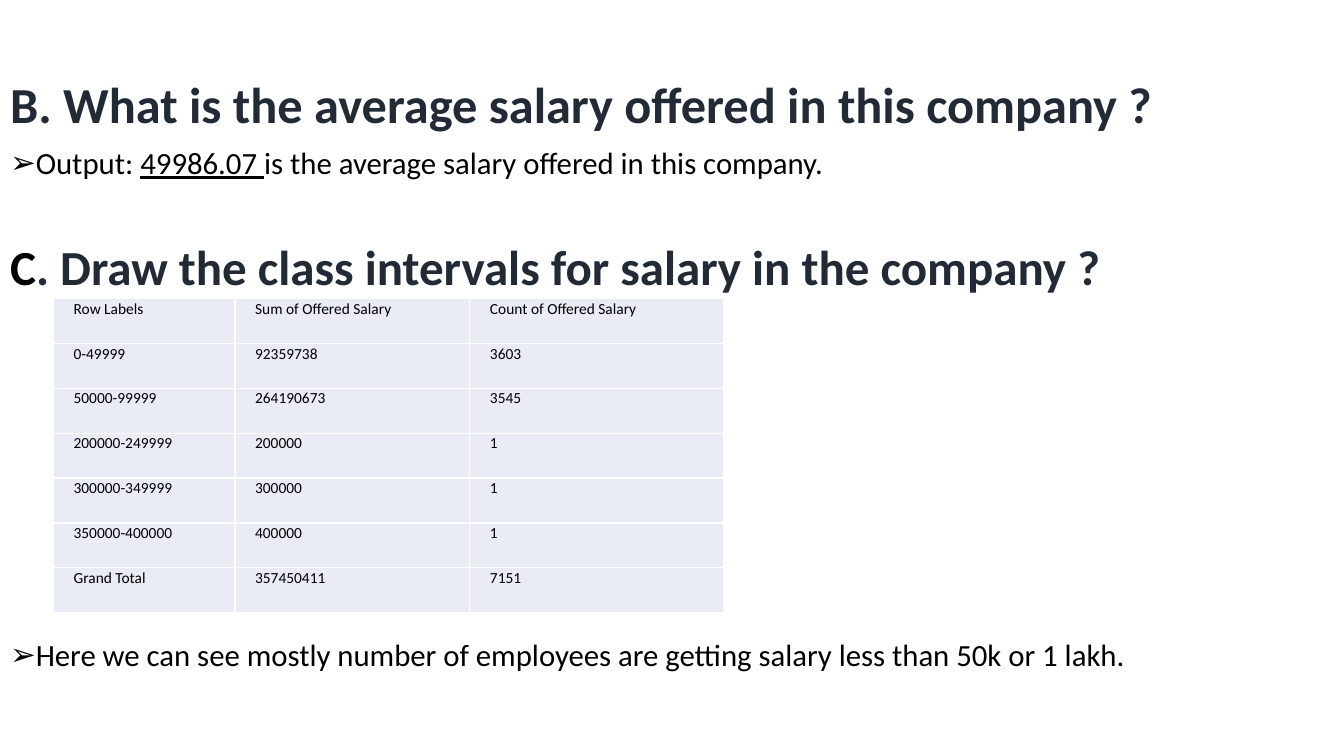
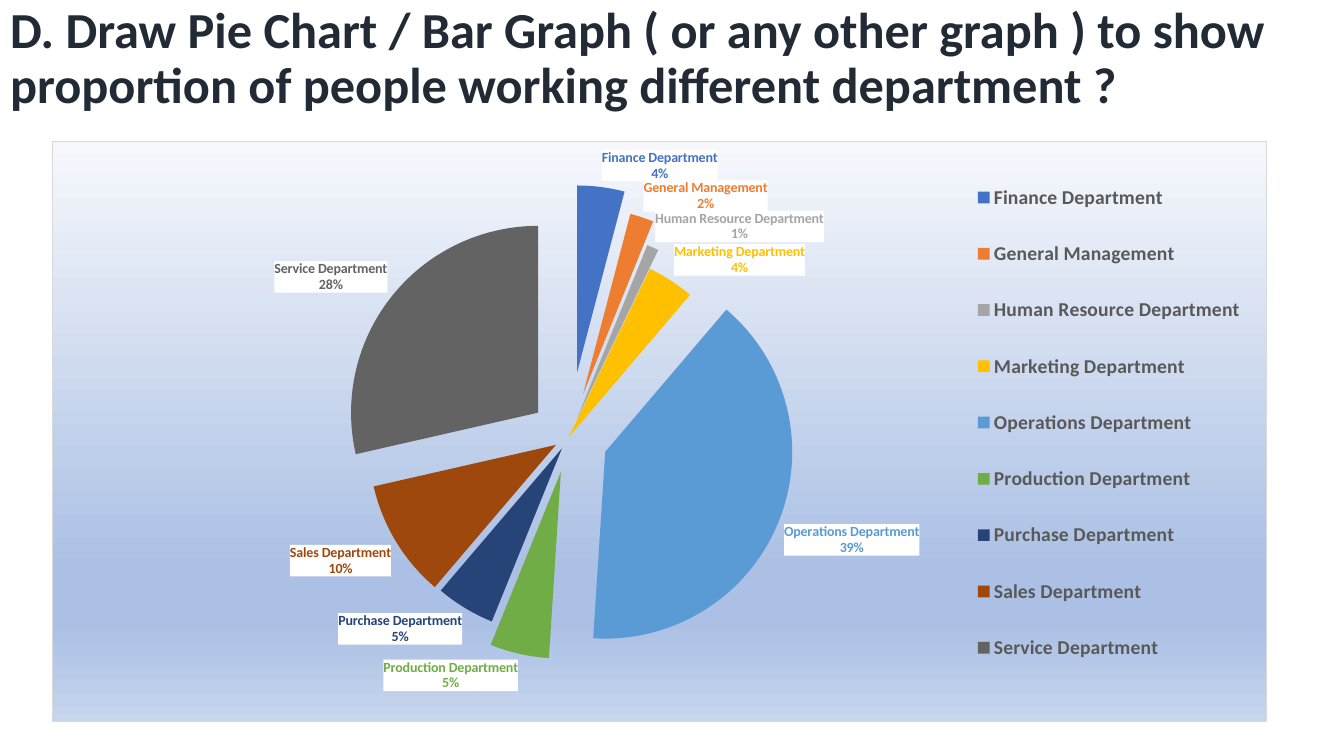
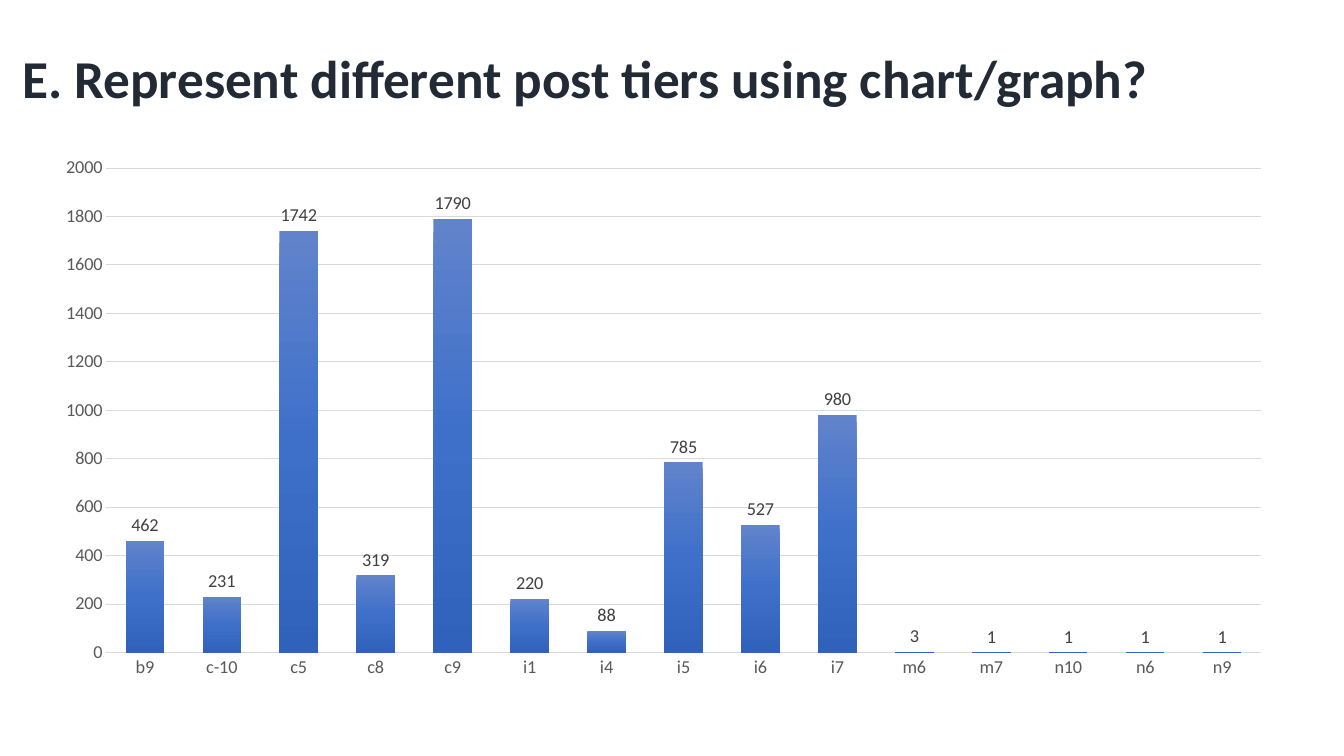
from lxml import etree
from pptx import Presentation
from pptx import util as u
from pptx.chart.data import CategoryChartData
from pptx.dml.color import RGBColor
from pptx.enum import chart as ch, text as t
from pptx.oxml import parse_xml
from pptx.oxml.ns import nsdecls, qn

NAVY = RGBColor(0x22, 0x2A, 0x35)
BLACK = RGBColor(0, 0, 0)
WHITE = RGBColor(0xFF, 0xFF, 0xFF)
CELL = RGBColor(0xE9, 0xEB, 0xF5)
GRID = RGBColor(0xD9, 0xD9, 0xD9)
GREY = RGBColor(0x59, 0x59, 0x59)
DARK = RGBColor(0x40, 0x40, 0x40)
FONT = "Calibri"
NS = nsdecls("a", "c")
PANEL_STOPS = [(0, "F6F8FC"), (74, "ABC0E4"), (83, "ABC0E4"), (100, "C7D5ED")]
BAR_STOPS = [(0, "6183CB"), (50, "3E70CA"), (100, "3062BB")]


def gradient(stops):
    """Vertical gradient fill as XML text."""
    marks = "".join(f'<a:gs pos="{at * 1000}"><a:srgbClr val="{color}"/></a:gs>'
                    for at, color in stops)
    return f'<a:gradFill {NS}><a:gsLst>{marks}</a:gsLst><a:lin ang="5400000" scaled="0"/></a:gradFill>'


def set_layout(parent, index, target, x, y, w, h):
    """Give a plot area or a legend a fixed place, in fractions of the chart."""
    for old in parent.findall(qn("c:layout")):
        parent.remove(old)
    inner = '<c:layoutTarget val="inner"/>' if target else ""
    parent.insert(index, parse_xml(
        f'<c:layout {NS}><c:manualLayout>{inner}<c:xMode val="edge"/><c:yMode val="edge"/>'
        f'<c:x val="{x}"/><c:y val="{y}"/><c:w val="{w}"/><c:h val="{h}"/>'
        f'</c:manualLayout></c:layout>'))


prs = Presentation()
prs.slide_width, prs.slide_height = u.Inches(13.33), u.Inches(7.5)

# Slides and their titles: text, size, box, left inset, anchor, layout
TOP, MIDDLE = t.MSO_ANCHOR.TOP, t.MSO_ANCHOR.MIDDLE
TITLES = [
    ("B. What is the average salary offered in this company ?",
     36, (0, 0.74, 12.42, 0.65), 0.1, TOP, 1),
    ("D. Draw Pie Chart / Bar Graph ( or any other graph ) to show proportion of people "
     "working different department ?", 36, (0, 0, 13.33, 1.25), 0.1, TOP, 5),
    ("E. Represent different post tiers using chart/graph?",
     38, (0, 0.08, 12.34, 1.45), 0.22, MIDDLE, 5),
]
for wording, size, box, inset, anchor, layout in TITLES:
    title = prs.slides.add_slide(prs.slide_layouts[layout]).shapes.title
    title.left, title.top, title.width, title.height = map(u.Inches, box)
    frame = title.text_frame
    frame.auto_size, frame.vertical_anchor = t.MSO_AUTO_SIZE.NONE, anchor
    frame.margin_left = u.Inches(inset)
    para = frame.paragraphs[0]
    para.alignment, para.line_spacing = t.PP_ALIGN.LEFT, 0.9
    run = para.add_run()
    run.text = wording
    run.font.name, run.font.size, run.font.bold = FONT, u.Pt(size), True
    run.font.color.rgb = NAVY
salary, departments, tiers = prs.slides

# Salary slide: answers and second question; runs are (text, bold, underline, colour)
ANSWERS = [
    (0, 22, True, [("Output: ", False, False, BLACK), ("49986.07 ", False, True, BLACK),
                   ("is the average salary offered in this company.", False, False, BLACK)]),
    (44, 35, False, [("C", True, False, BLACK),
                     (". Draw the class intervals for salary in the company ?", True, False, NAVY)]),
    (246, 22, True, [("Here we can see mostly number of employees are getting salary "
                      "less than 50k or 1 lakh.", False, False, BLACK)]),
]
body = salary.placeholders[1]
body.left, body.top, body.width, body.height = map(u.Inches, (0, 1.42, 12.42, 5.34))
frame = body.text_frame
frame.auto_size = t.MSO_AUTO_SIZE.NONE
for i, (before, size, bulleted, runs) in enumerate(ANSWERS):
    para = frame.add_paragraph() if i else frame.paragraphs[0]
    para.line_spacing, para.space_before = 0.9, u.Pt(before)
    props = para._p.get_or_add_pPr()
    hang = u.Inches(0.25) if bulleted else 0
    props.set("marL", str(hang))
    props.set("indent", str(-hang))
    bullet = etree.SubElement(props, qn("a:buChar" if bulleted else "a:buNone"))
    if bulleted:
        bullet.set("char", "➢")
    for wording, bold, underline, color in runs:
        run = para.add_run()
        run.text = wording
        run.font.name, run.font.size = FONT, u.Pt(size)
        run.font.bold, run.font.underline = bold, underline
        run.font.color.rgb = color

# Salary slide: class intervals
INTERVALS = [
    ("Row Labels", "Sum of Offered Salary", "Count of Offered Salary"),
    ("0-49999", "92359738", "3603"),
    ("50000-99999", "264190673", "3545"),
    ("200000-249999", "200000", "1"),
    ("300000-349999", "300000", "1"),
    ("350000-400000", "400000", "1"),
    ("Grand Total", "357450411", "7151"),
]
intervals = salary.shapes.add_table(len(INTERVALS), 3, *map(u.Inches, (0.53, 2.96, 6.65, 3.12))).table
intervals.first_row = intervals.horz_banding = False
for column, width in zip(intervals.columns, (1.8, 2.33, 2.52)):
    column.width = u.Inches(width)
for r, row in enumerate(INTERVALS):
    for c, wording in enumerate(row):
        cell = intervals.cell(r, c)
        cell.margin_left, cell.margin_top = u.Inches(0.2), u.Inches(0.01)
        cell.margin_right, cell.margin_bottom = u.Inches(0.01), 0
        run = cell.text_frame.paragraphs[0].add_run()
        run.text = wording
        run.font.name, run.font.size, run.font.color.rgb = FONT, u.Pt(11), BLACK
        cell.fill.solid()
        cell.fill.fore_color.rgb = CELL

# Departments slide: exploded pie of (name, percentage, colour, explosion)
DEPARTMENTS = [
    ("Finance Department", 4, "4472C4", 35),
    ("General Management", 2, "ED7D31", 24),
    ("Human Resource Department", 1, "A5A5A5", 11),
    ("Marketing Department", 4, "FFC000", 0),
    ("Operations Department", 39, "5B9BD5", 21),
    ("Production Department", 5, "70AD47", 19),
    ("Purchase Department", 5, "264478", 7),
    ("Sales Department", 10, "9E480E", 8),
    ("Service Department", 28, "636363", 21),
]
data = CategoryChartData()
data.categories = [name for name, *_ in DEPARTMENTS]
data.add_series("Series 1", [share for _, share, *_ in DEPARTMENTS])
pie = departments.shapes.add_chart(
    ch.XL_CHART_TYPE.PIE, *map(u.Inches, (0.52, 1.4, 12.05, 5.76)), data).chart
pie.has_title = False
pie.font.name, pie.font.size = FONT, u.Pt(10)
pie.plots[0].vary_by_categories = True
shares = pie.plots[0].series[0]
for i, (_, _, color, _) in enumerate(DEPARTMENTS):
    point = shares.points[i]
    point.format.fill.solid()
    point.format.fill.fore_color.rgb = RGBColor.from_string(color)
    font = point.data_label.font
    font.name, font.size, font.bold = FONT, u.Pt(10), True
    font.color.rgb = RGBColor.from_string(color)
    point.data_label.position = ch.XL_LABEL_POSITION.OUTSIDE_END

# Explosion, and white labels with name and percentage
pie_xml = pie._chartSpace
slices = pie_xml.xpath(".//c:dPt")
slices[0].addprevious(parse_xml(f'<c:explosion {NS} val="21"/>'))
for wedge, (*_, explosion) in zip(slices, DEPARTMENTS):
    wedge.find(qn("c:spPr")).addprevious(parse_xml(f'<c:explosion {NS} val="{explosion}"/>'))
for label in pie_xml.xpath(".//c:dLbl"):
    for tag, shown in (("showVal", 1), ("showCatName", 1), ("showPercent", 0)):
        label.find(qn("c:" + tag)).set("val", str(shown))
    text_props = label.find(qn("c:txPr"))
    text_props.addprevious(parse_xml(
        f'<c:numFmt {NS} formatCode="0&quot;%&quot;" sourceLinked="0"/>'))
    text_props.addprevious(parse_xml(
        f'<c:spPr {NS}><a:solidFill><a:srgbClr val="{WHITE}"/></a:solidFill></c:spPr>'))
    separator = etree.SubElement(label, qn("c:separator"))
    separator.text = "\n"

# Legend, plot place and panel behind the pie
pie.has_legend = True
pie.legend.position = ch.XL_LEGEND_POSITION.RIGHT
pie.legend.include_in_layout = False
font = pie.legend.font
font.name, font.size, font.bold, font.color.rgb = FONT, u.Pt(14), True, GREY
set_layout(pie_xml.xpath(".//c:legend")[0], 1, False, 0.75, 0.02, 0.24, 0.93)
set_layout(pie_xml.xpath(".//c:plotArea")[0], 0, True, 0.23, 0.12, 0.39, 0.78)
pie_xml.find(qn("c:chart")).addnext(parse_xml(
    f'<c:spPr {NS}>{gradient(PANEL_STOPS)}<a:ln w="9525"><a:solidFill>'
    f'<a:srgbClr val="{GRID}"/></a:solidFill></a:ln></c:spPr>'))

# Post tiers slide: columns
TIERS = {"b9": 462, "c-10": 231, "c5": 1742, "c8": 319, "c9": 1790, "i1": 220, "i4": 88,
         "i5": 785, "i6": 527, "i7": 980, "m6": 3, "m7": 1, "n10": 1, "n6": 1, "n9": 1}
data = CategoryChartData()
data.categories = list(TIERS)
data.add_series("Series 1", list(TIERS.values()))
columns = tiers.shapes.add_chart(
    ch.XL_CHART_TYPE.COLUMN_CLUSTERED, *map(u.Inches, (0.41, 1.45, 12.34, 5.39)), data).chart
columns.has_title = columns.has_legend = False
columns.font.name, columns.font.size = FONT, u.Pt(10)
plot = columns.plots[0]
plot.vary_by_categories = False
plot.gap_width, plot.overlap = 100, -24
plot.series[0]._element.get_or_add_spPr().append(parse_xml(gradient(BAR_STOPS)))
plot.series[0].format.line.fill.background()
plot.has_data_labels = True
plot.data_labels.show_value = True
plot.data_labels.position = ch.XL_LABEL_POSITION.OUTSIDE_END
font = plot.data_labels.font
font.name, font.size, font.color.rgb = FONT, u.Pt(13), DARK

tier_axis, count_axis = columns.category_axis, columns.value_axis
for axis in (tier_axis, count_axis):
    axis.major_tick_mark = axis.minor_tick_mark = ch.XL_TICK_MARK.NONE
    font = axis.tick_labels.font
    font.name, font.size, font.color.rgb = FONT, u.Pt(13), GREY
tier_axis.format.line.width = u.Pt(1)
tier_axis.format.line.color.rgb = GRID
count_axis.format.line.fill.background()
count_axis.minimum_scale, count_axis.maximum_scale, count_axis.major_unit = 0, 2000, 200
count_axis.major_gridlines.format.line.width = u.Pt(0.75)
count_axis.major_gridlines.format.line.color.rgb = GRID

prs.save("out.pptx")
